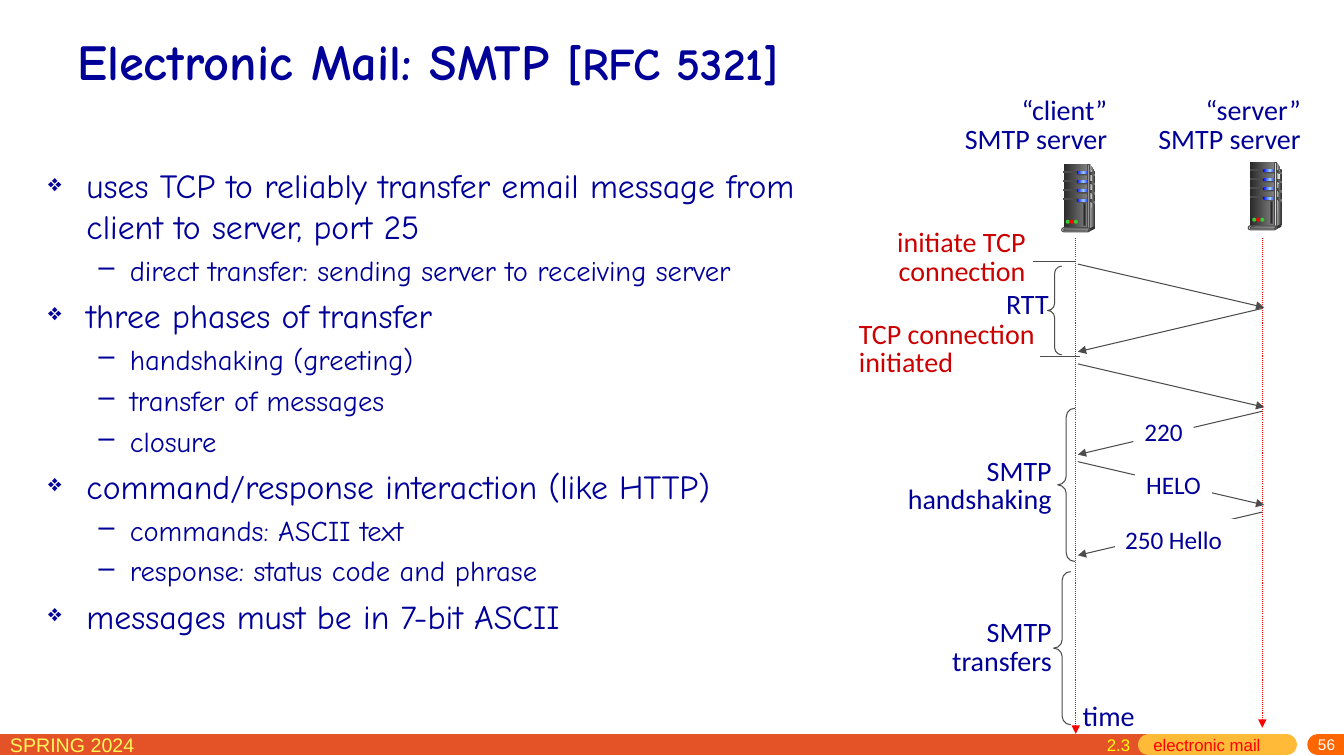
from typing import NamedTuple

from lxml import etree
from pptx import Presentation
from pptx.dml.color import RGBColor
from pptx.enum.dml import MSO_LINE
from pptx.enum.shapes import MSO_CONNECTOR, MSO_SHAPE
from pptx.enum.text import MSO_ANCHOR, PP_ALIGN
from pptx.oxml.ns import qn
from pptx.util import Inches, Pt

STRAIGHT, DOTTED = MSO_CONNECTOR.STRAIGHT, MSO_LINE.ROUND_DOT
RECT, PILL, OVAL, BRACE = (MSO_SHAPE.RECTANGLE, MSO_SHAPE.ROUNDED_RECTANGLE,
                           MSO_SHAPE.OVAL, MSO_SHAPE.LEFT_BRACE)
LEFT, CENTER, RIGHT = PP_ALIGN.LEFT, PP_ALIGN.CENTER, PP_ALIGN.RIGHT
TOP, MIDDLE = MSO_ANCHOR.TOP, MSO_ANCHOR.MIDDLE
CELL = Inches(0.1)  # the slide is a grid of 133.3 columns by 75 rows


class Theme:
    heading, label, footer = "Comic Neue", "Calibri", "Arial"
    navy, red, dotted = "000099", "CC0000", "FF0000"
    gray, white, dark, light = "4C4C4C", "FFFFFF", "333333", "DDDDDD"
    shade, blue, green = ("292929", "808080"), ("0000FF", "99CCFF", "0000FF"), "33CC33"
    panel, foot = ("808080", "F8F8F8"), ("777777", "B2B2B2")
    bar, pill, badge = "E45327", "FFBA37", "FF6600"
    cream, yellow = "FFF65C", "FFFF00"
    title, rfc, point, detail = 36, 32.4, 24.1, 20.4
    caption, message, term, section, number = 20, 18, 14, 12, 11
    thin, thick = 0.75, 15


class Box(NamedTuple):
    left: float
    top: float
    width: float
    height: float

    def area(self, column, row, columns, rows):
        return Box(self.left + column, self.top + row, columns, rows)

    def emu(self):
        return [round(length * CELL) for length in self]


def style(font, size, color, name, bold=False):
    font.size, font.name, font.bold = Pt(size), name, bold
    font.color.rgb = RGBColor.from_string(color)


def draw_line(shapes, box, start, end, color=Theme.gray, width=Theme.thin, arrow=False):
    points = [box.left + start[0], box.top + start[1], box.left + end[0], box.top + end[1]]
    line = shapes.add_connector(STRAIGHT, *[round(value * CELL) for value in points])
    line.line.color.rgb = RGBColor.from_string(color)
    line.line.width = Pt(width)
    etree.SubElement(line._element.spPr, qn("a:effectLst"))
    if arrow:
        outline = line._element.spPr.find(qn("a:ln"))
        etree.SubElement(outline, qn("a:tailEnd"), type="triangle")
    return line


def paint(shape, colors=None, outline=False):
    """Fill with one colour, a gradient of several, or nothing."""
    shape.shadow.inherit = False
    if colors is None:
        shape.fill.background()
    elif isinstance(colors, str):
        shape.fill.solid()
        shape.fill.fore_color.rgb = RGBColor.from_string(colors)
    else:
        shape.fill.gradient()
        shape.fill.gradient_angle = 0
        stops = shape._element.spPr.find(qn("a:gradFill")).find(qn("a:gsLst"))
        for stop in list(stops):
            stops.remove(stop)
        for index, color in enumerate(colors):
            stop = etree.SubElement(stops, qn("a:gs"), pos=str(index * 100000 // (len(colors) - 1)))
            etree.SubElement(stop, qn("a:srgbClr"), val=color)
    if outline:
        shape.line.color.rgb = RGBColor.from_string(Theme.gray)
        shape.line.width = Pt(Theme.thin)
    else:
        shape.line.fill.background()


def draw_shape(shapes, kind, box, colors=None, outline=False):
    shape = shapes.add_shape(kind, *box.emu())
    if kind in (PILL, BRACE):
        shape.adjustments[0] = 0.5
    paint(shape, colors, outline)
    return shape


def draw_polygon(shapes, box, points, colors):
    corners = [(x * 100, y * 100) for x, y in points]
    builder = shapes.build_freeform(*corners[0], scale=CELL / 100)
    builder.add_line_segments(corners[1:], close=True)
    paint(builder.convert_to_shape(*box.emu()[:2]), colors)


def text_frame(shapes, box, anchor=TOP):
    frame = shapes.add_textbox(*box.emu()).text_frame
    frame.word_wrap, frame.vertical_anchor = True, anchor
    return frame


def write_lines(frame, lines, size, color, name, align=LEFT, spacing=None):
    for index, line in enumerate(lines):
        para = frame.add_paragraph() if index else frame.paragraphs[0]
        para.text, para.alignment, para.line_spacing = line, align, spacing
        style(para.font, size, color, name)


def add_footer(shapes, box):
    middle = box.height / 2
    for start, end, color, cap in ((0, 113.9, Theme.bar, "flat"), (113.9, 127.6, Theme.pill, "rnd"),
                                   (130.7, box.width, Theme.badge, "rnd")):
        bar = draw_line(shapes, box, (start, middle), (end, middle), color, Theme.thick)
        bar._element.spPr.find(qn("a:ln")).set("cap", cap)
    write_lines(text_frame(shapes, box.area(0, -0.6, 22.9, 3.1)), ["SPRING 2024"],
                Theme.term, Theme.cream, Theme.footer)
    number = text_frame(shapes, box.area(107.5, 0.4, 25.9, 1.8), MIDDLE)
    number.margin_top, number.margin_bottom = 0, Inches(0.05)
    write_lines(number, ["56"], Theme.number, Theme.white, Theme.footer, RIGHT)
    # Section number and name, parted by a tab stop
    para = text_frame(shapes, box.area(108.4, -0.4, 21.3, 3.1)).paragraphs[0]
    properties = para._p.get_or_add_pPr()
    properties.set("marL", str(Inches(0.04)))
    tabs = etree.SubElement(properties, qn("a:tabLst"))
    etree.SubElement(tabs, qn("a:tab"), pos=str(Inches(0.46)), algn="l")
    for text, color in (("2.3\t", Theme.yellow), ("electronic mail", Theme.dotted)):
        span = para.add_run()
        span.text = text
        style(span.font, Theme.section, color, Theme.footer)


def add_title(shapes, box):
    para = text_frame(shapes, box, MIDDLE).paragraphs[0]
    for text, size in (("Electronic Mail: SMTP ", Theme.title), ("[RFC 5321]", Theme.rfc)):
        span = para.add_run()
        span.text = text
        style(span.font, size, Theme.navy, Theme.heading, bold=True)


def add_points(shapes, box, points):
    frame = text_frame(shapes, box)
    for index, (level, text) in enumerate(points):
        para = frame.add_paragraph() if index else frame.paragraphs[0]
        para.text, para.level = text, level
        margin, hanging, mark, share, size = ((0.81, 0.31, "–", 100, Theme.detail) if level
                                              else (0.38, 0.38, "❖", 70, Theme.point))
        properties = para._p.get_or_add_pPr()
        properties.set("marL", str(Inches(margin)))
        properties.set("indent", str(-Inches(hanging)))
        etree.SubElement(properties, qn("a:buSzPct"), val=str(share * 1000))
        etree.SubElement(properties, qn("a:buChar"), char=mark)
        if index:
            para.space_before = Pt(size * 0.23)
        style(para.font, size, Theme.navy, Theme.heading)


def add_server(shapes, box):
    group = shapes.add_group_shape().shapes
    # Case
    draw_polygon(group, box, [(2.8, 0), (3.3, 0.8), (3.3, 6.2), (2.6, 6.4)], (Theme.light, Theme.dark))
    draw_shape(group, RECT, box.area(0.2, 0, 2.4, 6.5), Theme.shade)
    draw_polygon(group, box, [(2.8, 0.4), (3.1, 0.9), (2.8, 6.3)], Theme.panel)
    # Drive bays with their lamps and side vents
    for row in (0.7, 1.6, 2.5, 3.4):
        draw_shape(group, RECT, box.area(0.2, row, 1.4, 0.1), Theme.gray, outline=True)
        draw_shape(group, PILL, box.area(1.4, row, 1.4, 0.4), Theme.gray)
        draw_shape(group, PILL, box.area(1.5, row, 1.3, 0.3), Theme.blue)
        draw_polygon(group, box, [(2.7, row), (3.3, row + 0.3), (3.3, row + 0.5), (2.7, row + 0.2)],
                     Theme.shade)
    draw_shape(group, RECT, box.area(2.6, 0, 0.2, 6.5), (Theme.dark, Theme.light, Theme.dark), outline=True)
    # Foot, status lights and handle
    draw_polygon(group, box, [(2.7, 6.4), (2.7, 6.7), (3.3, 6.4), (3.3, 6.1)], Theme.dark)
    draw_shape(group, PILL, box.area(0, 6.3, 2.8, 0.4), Theme.light, outline=True)
    draw_shape(group, PILL, box.area(0.2, 6.4, 2.5, 0.2), Theme.foot, outline=True)
    for index, color in enumerate((Theme.green, Theme.dotted, Theme.green)):
        draw_shape(group, OVAL, box.area(0.4 + 0.4 * index, 5.5, 0.4, 0.4), color)
    draw_shape(group, RECT, box.area(2.2, 3.9, 0.2, 2.2), Theme.shade[0], outline=True)


def add_exchange(shapes, box):
    client, server = 22.7, 41.2
    # Time lines and the machines above them
    for column, end, top in ((client, 63.8, 7.3), (server, 63.2, 7.1)):
        line = draw_line(shapes, box, (column, 14.6), (column, end), Theme.dotted, arrow=True)
        line.line.dash_style = DOTTED
        add_server(shapes, box.area(column - 1.4, top, 3.3, 6.7))
    # Messages go to and fro, starting with the client
    for index, row in enumerate((17.2, 21.6, 27.1, 31.8, 36.8, 41.8)):
        ends = (server, client + 0.2) if index % 2 else (client + 0.2, server + 0.2)
        draw_line(shapes, box, (ends[0], row), (ends[1], row + 4.3), arrow=True)
    for start, end, row in ((18.5, client, 16.9), (19.2, client + 0.4, 26.4)):
        draw_line(shapes, box, (start, row), (end, row))
    for place in ((19.9, 17.4, 1.4, 8.8), (20.9, 31.5, 1.7, 15.2), (20.5, 47.7, 1.7, 15.2)):
        draw_shape(shapes, BRACE, box.area(*place), outline=True)
    for place, text, align in (((28.4, 31.8, 6, 4), "220", CENTER),
                               ((26.6, 42.5, 12.3, 4), "250 Hello", LEFT),
                               ((28.6, 37.1, 7.6, 4), "HELO", CENTER)):
        label = draw_shape(shapes, RECT, box.area(*place), Theme.white)
        label.text_frame.vertical_anchor = TOP
        write_lines(label.text_frame, [text], Theme.message, Theme.navy, Theme.label, align)
    # Captions
    for place, lines, color, align in (
            ((9.9, 0.2, 16.9, 6.8), ["“client”", "SMTP server"], Theme.navy, RIGHT),
            ((29.1, 0.2, 16.9, 6.8), ["“server”", "SMTP server"], Theme.navy, RIGHT),
            ((2.8, 13.3, 15.9, 6.8), ["initiate TCP", "connection"], Theme.red, RIGHT),
            ((14.8, 19.4, 7.3, 3.9), ["RTT"], Theme.navy, LEFT),
            ((0.2, 22.4, 24, 6.8), ["TCP connection", "initiated"], Theme.red, LEFT),
            ((3.1, 36, 18.2, 6.8), ["SMTP handshaking"], Theme.navy, RIGHT),
            ((3.1, 52, 18.2, 6.8), ["SMTP transfers"], Theme.navy, RIGHT),
            ((22.4, 60.3, 8.3, 3.9), ["time"], Theme.navy, LEFT)):
        write_lines(text_frame(shapes, box.area(*place)), lines, Theme.caption, color,
                    Theme.label, align, 0.85)


def main():
    deck = Presentation()
    deck.slide_width, deck.slide_height = Inches(13.33), Inches(7.5)
    shapes = deck.slides.add_slide(deck.slide_layouts[6]).shapes
    page = Box(0, 0, 133.3, 75)
    add_footer(shapes, page.area(0, 72.8, page.width, 2.2))
    add_title(shapes, page.area(6.7, 1.6, 85, 8.7))
    add_points(shapes, page.area(3.8, 15.9, 77.7, 49.2), [
        (0, "uses TCP to reliably transfer email message from client to server, port 25"),
        (1, "direct transfer: sending server to receiving server"),
        (0, "three phases of transfer"),
        (1, "handshaking (greeting)"), (1, "transfer of messages"), (1, "closure"),
        (0, "command/response interaction (like HTTP)"),
        (1, "commands: ASCII text"), (1, "response: status code and phrase"),
        (0, "messages must be in 7-bit ASCII")])
    add_exchange(shapes, page.area(84, 9, 48, 65))
    deck.save("out.pptx")


if __name__ == "__main__":
    main()
